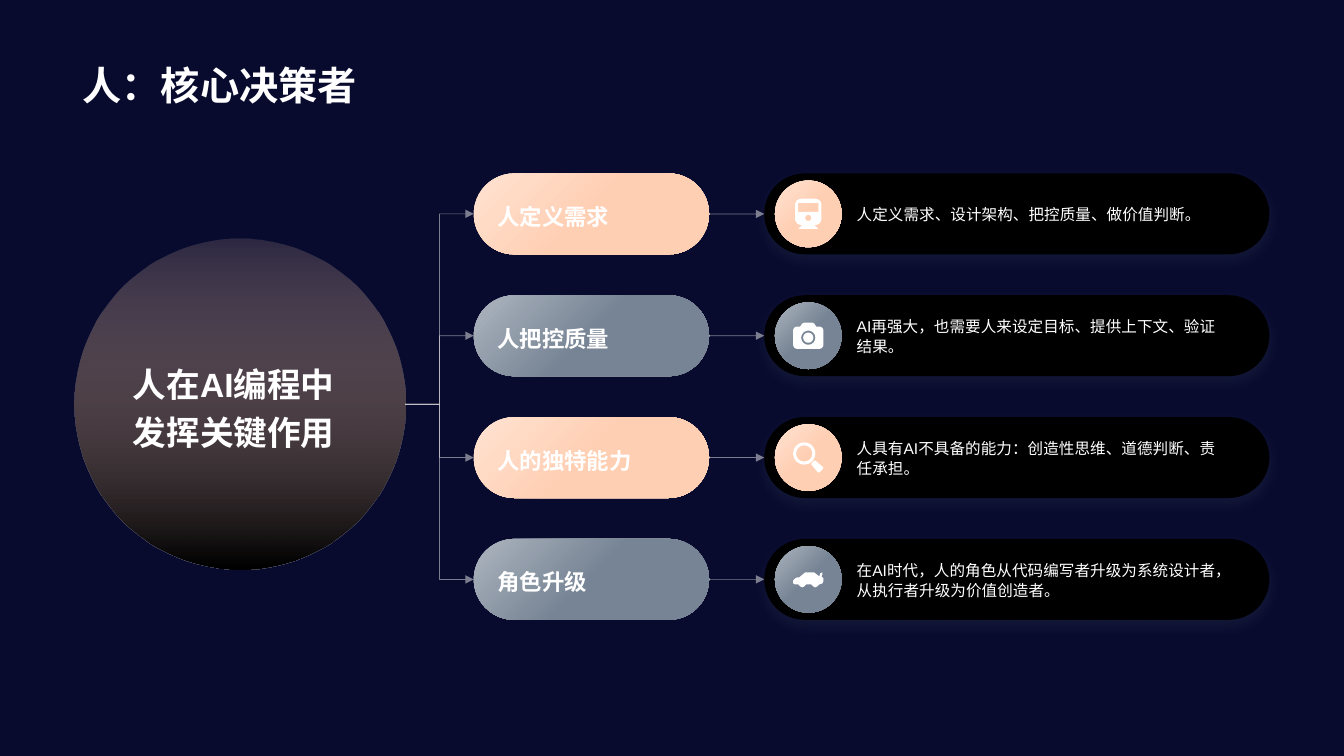
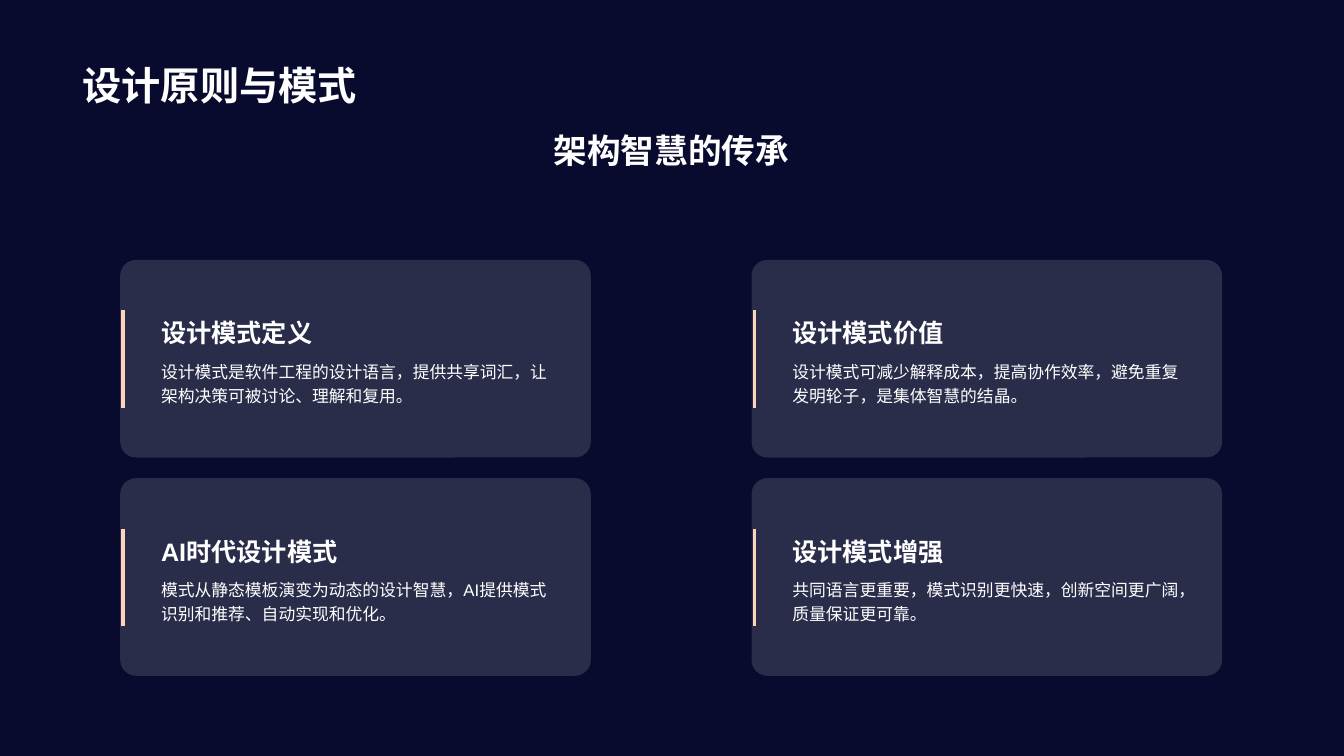
"""Build two dark slides: the human role in AI coding, and design patterns."""
import dataclasses
import math

import pptx
import pptx.dml.color
import pptx.enum.lang
import pptx.enum.shapes
import pptx.enum.text
import pptx.oxml.ns
import pptx.util
from lxml import etree

Cm, Pt = pptx.util.Cm, pptx.util.Pt
qn = pptx.oxml.ns.qn
SHAPE = pptx.enum.shapes.MSO_SHAPE
LINK = pptx.enum.shapes.MSO_CONNECTOR
ANCHOR = pptx.enum.text.MSO_ANCHOR
ALIGN = pptx.enum.text.PP_ALIGN


@dataclasses.dataclass(frozen=True)
class Theme:
    font: str = "Arial"
    back: str = "080B2E"
    text: str = "FFFFFF"
    panel: str = "000000"
    pale: str = "F0F0F0"
    peach: tuple = ("FFE2D1", "FFCFB3")
    slate: tuple = ("ADB5BF", "778495")
    shadow: str = "586371"
    title_pt: float = 28
    lead_pt: float = 24
    head_pt: float = 18
    pill_pt: float = 16
    body_pt: float = 12
    note_pt: float = 11.1


T = Theme()

ROLES_TITLE = "人：核心决策者"
ROLES_HUB = "人在AI编程中发挥关键作用"
ROLES = [
    ("人定义需求", "人定义需求、设计架构、把控质量、做价值判断。", "train", T.peach),
    ("人把控质量", "AI再强大，也需要人来设定目标、提供上下文、验证结果。", "camera", T.slate),
    ("人的独特能力", "人具有AI不具备的能力：创造性思维、道德判断、责任承担。", "lens", T.peach),
    ("角色升级", "在AI时代，人的角色从代码编写者升级为系统设计者，从执行者升级为价值创造者。",
     "car", T.slate),
]

PATTERNS_TITLE = "设计原则与模式"
PATTERNS_LEAD = "架构智慧的传承"
PATTERNS = [
    ("设计模式定义", "设计模式是软件工程的设计语言，提供共享词汇，让架构决策可被讨论、理解和复用。"),
    ("设计模式价值", "设计模式可减少解释成本，提高协作效率，避免重复发明轮子，是集体智慧的结晶。"),
    ("AI时代设计模式", "模式从静态模板演变为动态的设计智慧，AI提供模式识别和推荐、自动实现和优化。"),
    ("设计模式增强", "共同语言更重要，模式识别更快速，创新空间更广阔，质量保证更可靠。"),
]


def arc(cx, cy, radius, start=0, sweep=360, steps=36):
    """Return points along an arc, angles in degrees."""
    angles = [math.radians(start + sweep * i / steps) for i in range(steps + 1)]
    return [(cx + radius * math.cos(a), cy + radius * math.sin(a)) for a in angles]


def rounded(left, top, right, bottom, radius):
    """Return the outline of a rounded rectangle."""
    corners = [(right - radius, bottom - radius), (left + radius, bottom - radius),
               (left + radius, top + radius), (right - radius, top + radius)]
    return [pt for i, (x, y) in enumerate(corners) for pt in arc(x, y, radius, 90 * i, 90, 8)]


ICON_UNIT = 0.0254
ICONS = {
    "train": [rounded(-13, -15, 13, 11, 6),
              [(-10, -11), (10, -11), (10, -2), (-10, -2)],
              arc(0, 4, 3),
              [(-6, 11), (6, 11), (10, 15), (-10, 15)]],
    "camera": [rounded(-15, -9, 15, 13, 4),
               [(-8, -9), (-6, -12), (-4, -13), (4, -13), (6, -12), (8, -9)],
               arc(0, 2, 7), arc(0, 2, 5)],
    "lens": [arc(-4, -4, 11), arc(-4, -4, 8),
             [(7, 3), (14, 9), (15, 10), (14, 12), (12, 14), (10, 15), (9, 14), (3, 7), (3, 6),
              (6, 3)]],
    "car": [[(13, -3), (14, -5), (14, -7), (12, -6), (11, -3), (7, -6), (6, -7), (-3, -7),
             (-9, -2), (-11, -2), (-13, -1), (-15, 1), (-15, 4), (-13, 5), (-10, 5), (-8, 7),
             (-6, 8), (-4, 7), (-2, 5), (3, 5), (5, 7), (7, 8), (9, 7), (11, 5), (14, 4),
             (15, 2), (15, -1)]],
}


def rgb(code):
    """Return a colour object for a hex code."""
    return pptx.dml.color.RGBColor.from_string(code)


def set_alpha(element, percent):
    """Make the first colour inside an element translucent."""
    color = next(element.iter(qn("a:srgbClr")))
    etree.SubElement(color, qn("a:alpha"), val=str(percent * 1000))


def write(sp, text, size, bold=False, anchor=ANCHOR.TOP, align=ALIGN.LEFT, spacing=1.0,
          insets=None):
    """Put one formatted paragraph into a shape."""
    tf = sp.text_frame
    tf.word_wrap = True
    tf.auto_size = pptx.enum.text.MSO_AUTO_SIZE.NONE
    tf.vertical_anchor = anchor
    if insets:
        tf.margin_left = tf.margin_right = Cm(insets[0])
        tf.margin_top = tf.margin_bottom = Cm(insets[1])
    p = tf.paragraphs[0]
    p.text = text
    p.alignment = align
    p.line_spacing = spacing
    p.font.name, p.font.size, p.font.bold = T.font, Pt(size), bold
    p.font.color.rgb = rgb(T.text)
    p.font.language_id = pptx.enum.lang.MSO_LANGUAGE_ID.SIMPLIFIED_CHINESE


def add_text(s, box, text, size, **style):
    """Add a text box at a box given in centimetres."""
    write(s.shapes.add_textbox(*map(Cm, box)), text, size, **style)


def add_shape(s, kind, box, color=None, gradient=None, angle=315, corner=None):
    """Add an unlined preset shape with a solid or gradient fill."""
    sp = s.shapes.add_shape(kind, *map(Cm, box))
    sp.shadow.inherit = False
    sp.line.fill.background()
    if corner is not None:
        sp.adjustments[0] = corner
    if gradient:
        sp.fill.gradient()
        sp.fill.gradient_angle = angle
        for stop, (position, code) in zip(sp.fill.gradient_stops, gradient):
            stop.position = position
            stop.color.rgb = rgb(code)
    else:
        sp.fill.solid()
        sp.fill.fore_color.rgb = rgb(color)
    return sp


def add_line(s, start, end, color, width, kind=LINK.STRAIGHT, arrow=False):
    """Add a line, or a translucent arrow."""
    cx = s.shapes.add_connector(kind, *map(Cm, start + end))
    cx.line.width = Pt(width)
    cx.line.color.rgb = rgb(color)
    props = cx._element.spPr
    if arrow:
        set_alpha(props, 50)
        etree.SubElement(props.find(qn("a:ln")), qn("a:tailEnd"), type="triangle")
    etree.SubElement(props, qn("a:effectLst"))


def add_shadow(sp):
    """Give a shape a soft shadow below."""
    effects = sp._element.spPr.find(qn("a:effectLst"))
    shadow = etree.SubElement(effects, qn("a:outerShdw"), blurRad=str(Pt(10)), dist=str(Pt(4)),
                              dir="5400000", algn="t", rotWithShape="0")
    etree.SubElement(shadow, qn("a:srgbClr"), val=T.shadow)
    set_alpha(shadow, 15)


def add_icon(s, name, cx, cy):
    """Draw a white icon centred on a point."""
    outlines = [[(Cm(cx + x * ICON_UNIT), Cm(cy + y * ICON_UNIT)) for x, y in outline]
                for outline in ICONS[name]]
    builder = s.shapes.build_freeform(*outlines[0][0])
    for i, points in enumerate(outlines):
        if i:
            builder.move_to(*points[0])
        builder.add_line_segments(points[1:], close=True)
    sp = builder.convert_to_shape()
    sp.shadow.inherit = False
    sp.line.fill.background()
    sp.fill.solid()
    sp.fill.fore_color.rgb = rgb(T.text)


def add_slide(prs, title):
    """Add a slide with the shared title style."""
    s = prs.slides.add_slide(prs.slide_layouts[5])
    sp = s.shapes.title
    sp.left, sp.top, sp.width, sp.height = map(Cm, (1.83, 0.36, 30.18, 2.49))
    write(sp, title, T.title_pt, bold=True, anchor=ANCHOR.BOTTOM)
    return s


def build_roles(prs):
    """Draw the hub with four branches."""
    s = add_slide(prs, ROLES_TITLE)
    hub_left, hub_top, hub_size = 1.88, 6.02, 8.33
    pill_left, pill_width, card_left, card_width = 11.94, 5.93, 19.26, 12.73
    first_top, pitch, height, disc = 4.37, 3.07, 2.04, 1.68
    hub = add_shape(s, SHAPE.OVAL, (hub_left, hub_top, hub_size, hub_size),
                    gradient=[(0, T.peach[1]), (1, T.panel)], angle=270)
    set_alpha(hub._element.spPr, 15)
    write(hub, ROLES_HUB, T.lead_pt, bold=True, anchor=ANCHOR.MIDDLE, spacing=1.2)
    hub_exit = (hub_left + hub_size, hub_top + hub_size / 2)
    for i, (label, note, icon, tones) in enumerate(ROLES):
        top = first_top + i * pitch
        mid = top + height / 2
        gradient = [(0, tones[0]), (0.5, tones[1])]
        pill = add_shape(s, SHAPE.ROUNDED_RECTANGLE, (pill_left, top, pill_width, height),
                         gradient=gradient, corner=0.5)
        write(pill, label, T.pill_pt, bold=True, anchor=ANCHOR.MIDDLE, spacing=1.2,
              insets=(0.3, 0.3))
        card = add_shape(s, SHAPE.ROUNDED_RECTANGLE, (card_left, top, card_width, height),
                         color=T.panel, corner=0.5)
        add_shadow(card)
        add_text(s, (21.44, mid - 0.65, 9.63, 1.3), note, T.note_pt, anchor=ANCHOR.MIDDLE,
                 spacing=1.07, insets=(0.15, 0.08))
        disc_left = card_left + 0.27
        add_shape(s, SHAPE.OVAL, (disc_left, mid - disc / 2, disc, disc), gradient=gradient)
        add_icon(s, icon, disc_left + disc / 2, mid)
        add_line(s, (pill_left + pill_width, mid), (card_left, mid), T.pale, 0.5, arrow=True)
        add_line(s, hub_exit, (pill_left, mid), T.pale, 0.5, kind=LINK.ELBOW, arrow=True)


def build_patterns(prs):
    """Draw the lead line and a two-by-two grid of cards."""
    s = add_slide(prs, PATTERNS_TITLE)
    add_text(s, (1.83, 3.15, 30.18, 2.16), PATTERNS_LEAD, T.lead_pt, bold=True,
             align=ALIGN.CENTER)
    for i, (head, body) in enumerate(PATTERNS):
        row, col = divmod(i, 2)
        left, top = 3.03 + col * 15.91, 6.55 + row * 5.5
        add_line(s, (left + 0.07, top + 1.27), (left + 0.07, top + 3.72), T.peach[1], 2.25)
        card = add_shape(s, SHAPE.ROUNDED_RECTANGLE, (left, top, 11.86, 4.98), color=T.pale,
                         corner=0.08)
        set_alpha(card._element.spPr, 15)
        add_text(s, (left + 0.78, top + 2.34, 10.62, 2.18), body, T.body_pt, spacing=1.2)
        add_text(s, (left + 0.78, top + 0.41, 10.62, 1.93), head, T.head_pt, bold=True,
                 anchor=ANCHOR.BOTTOM)


def main():
    """Build and save the presentation."""
    prs = pptx.Presentation()
    prs.slide_width, prs.slide_height = Cm(33.87), Cm(19.05)
    fill = prs.slide_master.background.fill
    fill.solid()
    fill.fore_color.rgb = rgb(T.back)
    build_roles(prs)
    build_patterns(prs)
    prs.save("out.pptx")


if __name__ == "__main__":
    main()
